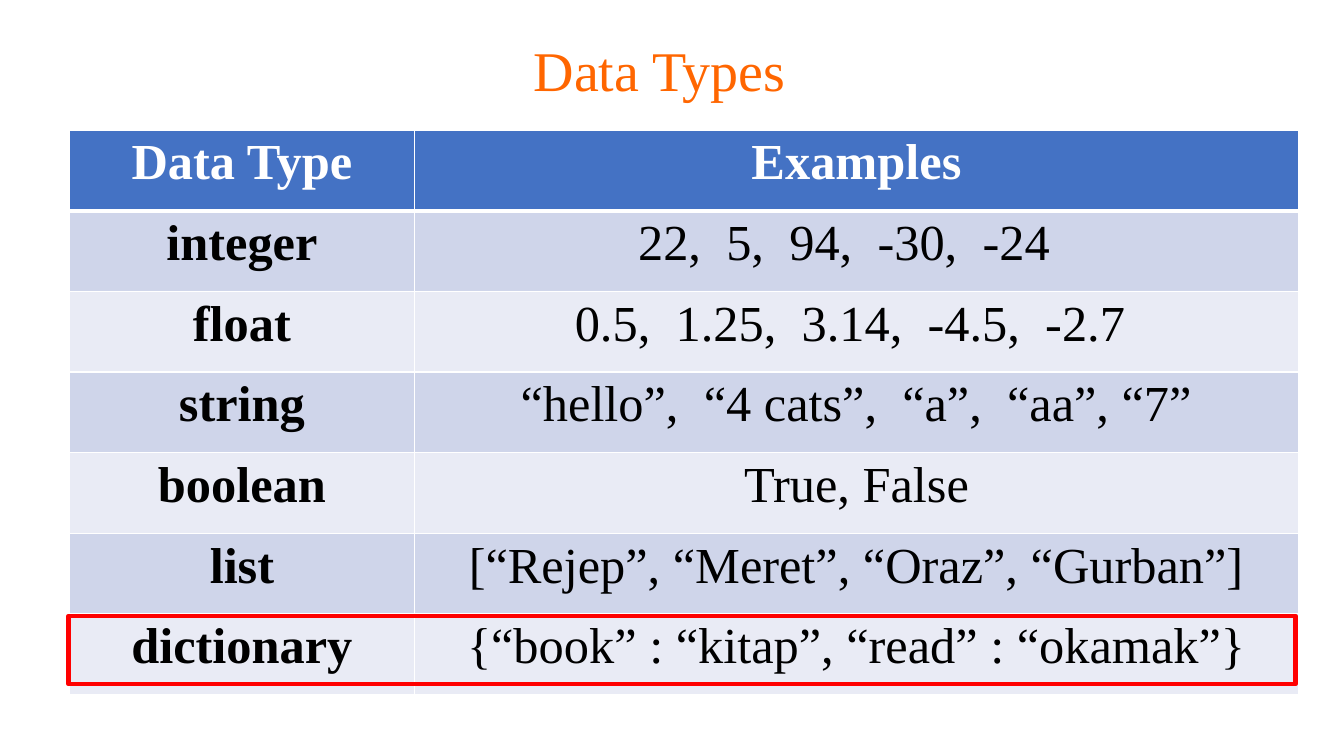
import pptx
import pptx.dml.color
import pptx.enum.shapes
import pptx.enum.text
import pptx.oxml
import pptx.oxml.ns
import pptx.util

RGBColor = pptx.dml.color.RGBColor
ORANGE = RGBColor(0xFF, 0x66, 0x00)
BLUE = RGBColor(0x44, 0x72, 0xC4)
DARK_BAND = RGBColor(0xCF, 0xD5, 0xEA)
LIGHT_BAND = RGBColor(0xE9, 0xEB, 0xF5)
WHITE = RGBColor(0xFF, 0xFF, 0xFF)
BLACK = RGBColor(0x00, 0x00, 0x00)
RED = RGBColor(0xFF, 0x00, 0x00)

FONT = "Times New Roman"
COLUMN_WIDTHS = (342, 877)
ROW_HEIGHT = 80
CELL_MARGIN = 10

DATA_TYPES = [
    ("Data Type", "Examples"),
    ("integer", "22,  5,  94,  -30,  -24"),
    ("float", "0.5,  1.25,  3.14,  -4.5,  -2.7"),
    ("string", "“hello”,  “4 cats”,  “a”,  “aa”, “7”"),
    ("boolean", "True, False"),
    ("list", "[“Rejep”, “Meret”, “Oraz”, “Gurban”]"),
    ("dictionary", "{“book” : “kitap”, “read” : “okamak”}"),
]
EXTRA_RIGHT_MARGINS = {"integer": 25, "float": 13}


def px(length):
    """Turn px, 100 to the inch, into EMU."""
    return pptx.util.Emu(length * 9144)


def add_centred_run(text_frame, text, size, color, bold=False):
    """Write one centred run into the first paragraph."""
    paragraph = text_frame.paragraphs[0]
    paragraph.alignment = pptx.enum.text.PP_ALIGN.CENTER
    run = paragraph.add_run()
    run.text = text
    run.font.name = FONT
    run.font.size = pptx.util.Pt(size)
    run.font.bold = bold
    run.font.color.rgb = color
    return paragraph


def set_borders(cell, bottom_width, top_width):
    """Draw white lines around a cell, with widths in points."""
    properties = cell._tc.get_or_add_tcPr()
    for side, width in (("L", 1), ("R", 1), ("T", top_width), ("B", bottom_width)):
        properties.append(pptx.oxml.parse_xml(
            f'<a:ln{side} {pptx.oxml.ns.nsdecls("a")} w="{pptx.util.Pt(width)}">'
            f'<a:solidFill><a:srgbClr val="{WHITE}"/></a:solidFill></a:ln{side}>'
        ))


def add_title(slide, text):
    """Place and fill the title placeholder."""
    title = slide.shapes.title
    title.left, title.top, title.width, title.height = px(79), px(0), px(1150), px(145)
    title.text_frame.vertical_anchor = pptx.enum.text.MSO_ANCHOR.MIDDLE
    paragraph = add_centred_run(title.text_frame, text, 40, ORANGE)
    paragraph.line_spacing = 0.9


def add_type_table(slide):
    """Add the banded table of data types and examples."""
    table = slide.shapes.add_table(
        len(DATA_TYPES), len(COLUMN_WIDTHS), px(69), px(129),
        px(sum(COLUMN_WIDTHS)), px(ROW_HEIGHT * len(DATA_TYPES)),
    ).table
    for column, width in zip(table.columns, COLUMN_WIDTHS):
        column.width = px(width)
    for row, entry in enumerate(DATA_TYPES):
        header = row == 0
        band = BLUE if header else (LIGHT_BAND, DARK_BAND)[row % 2]
        for column, text in enumerate(entry):
            cell = table.cell(row, column)
            set_borders(cell, 3 if header else 1, 3 if row == 1 else 1)
            cell.fill.solid()
            cell.fill.fore_color.rgb = band
            add_centred_run(cell.text_frame, text, 36,
                            WHITE if header else BLACK, header or column == 0)
        cell.margin_right = px(CELL_MARGIN + EXTRA_RIGHT_MARGINS.get(entry[0], 0))


def add_highlight(slide):
    """Frame the dictionary row in red."""
    frame = slide.shapes.add_shape(
        pptx.enum.shapes.MSO_SHAPE.RECTANGLE, px(68), px(611), px(1217), px(68))
    frame.shadow.inherit = False
    frame.fill.background()
    frame.line.color.rgb = RED
    frame.line.width = pptx.util.Pt(3)


def main():
    """Build and save the slide."""
    presentation = pptx.Presentation()
    presentation.slide_width = px(1333)
    presentation.slide_height = px(750)
    slide = presentation.slides.add_slide(presentation.slide_layouts[5])
    add_title(slide, "Data Types")
    add_type_table(slide)
    add_highlight(slide)
    presentation.save("out.pptx")


if __name__ == "__main__":
    main()
